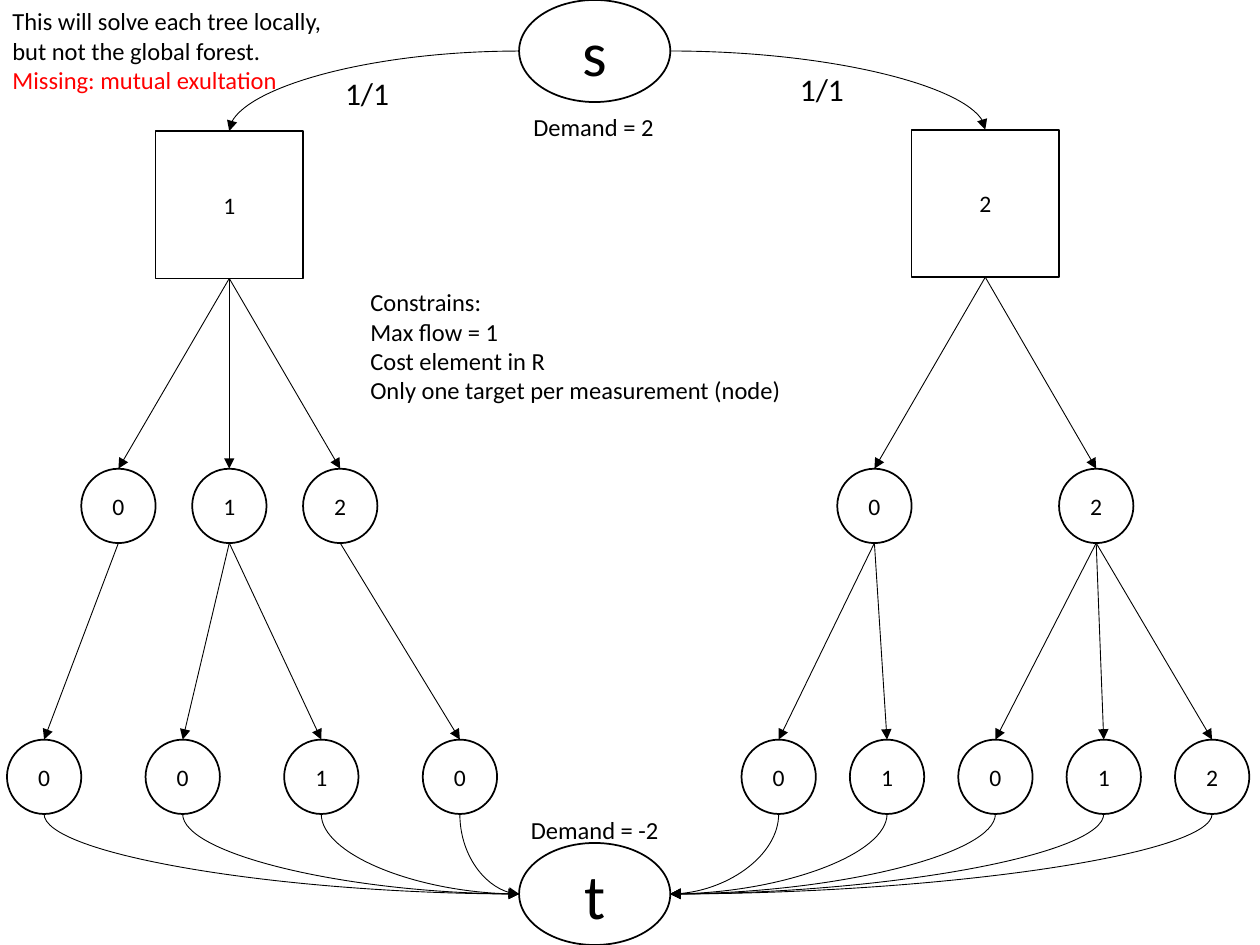
from lxml import etree
from pptx import Presentation
from pptx import util as u
from pptx.dml.color import RGBColor
from pptx.enum import shapes, text
from pptx.oxml.ns import qn

BLACK = RGBColor(0, 0, 0)
WHITE = RGBColor(255, 255, 255)
RED = RGBColor(255, 0, 0)
FONT = "Calibri"

TREES = [
    {"name": "1", "x": 1.82, "top": 1.04, "first_leaf": 0.35, "leaf_step": 1.1,
     "targets": {0: [0], 1: [0, 1], 2: [0]}},
    {"name": "2", "x": 7.82, "top": 1.03, "first_leaf": 6.18, "leaf_step": 0.86,
     "targets": {0: [0, 1], 2: [0, 1, 2]}},
]
LABELS = [
    (2.64, 0.54, 0.66, 0.4, 18, False, ["1/1"]),
    (6.25, 0.51, 0.66, 0.4, 18, False, ["1/1"]),
    (4.11, 6.42, 1.22, 0.34, 14, True, ["Demand = -2"]),
    (4.1, 0.84, 1.22, 0.34, 14, True, ["Demand = 2"]),
    (2.84, 2.23, 4.15, 1.04, 14, False,
     ["Constrains:", "Max flow = 1", "Cost element in R",
      "Only one target per measurement (node)"]),
    (0, 0, 2.7, 0.81, 14, False,
     ["This will solve each tree locally, ", "but not the global forest.",
      "Missing: mutual exultation"]),
]
WARNING = "Missing: mutual exultation"

PAGE_W, PAGE_H = 10, 7.5
SQUARE, CIRCLE = 1.17, 0.59
TERMINAL_W, TERMINAL_H = 1.2, 0.81
TERMINAL_X = 4.72
TARGET_TOP, TARGET_STEP, LEAF_TOP = 3.72, 0.88, 5.87
SOURCE_Y, SINK_Y = TERMINAL_H / 2, PAGE_H - TERMINAL_H / 2

deck = Presentation()
deck.slide_width, deck.slide_height = u.Inches(PAGE_W), u.Inches(PAGE_H)
page = deck.slides.add_slide(deck.slide_layouts[6])


def style(para, size, centred, color=BLACK):
    para.alignment = text.PP_ALIGN.CENTER if centred else text.PP_ALIGN.LEFT
    for span in para.runs:
        span.font.name, span.font.size = FONT, u.Pt(size)
        span.font.color.rgb = color


def add_node(kind, name, x, top, width, height, size=13.5, insets=(0.07, 0.04)):
    node = page.shapes.add_shape(kind, u.Inches(x - width / 2), u.Inches(top),
                                 u.Inches(width), u.Inches(height))
    node.shadow.inherit = False
    if kind == shapes.MSO_SHAPE.RECTANGLE:
        node.fill.solid()
        node.fill.fore_color.rgb = WHITE
    else:
        node.fill.background()
    node.line.color.rgb, node.line.width = BLACK, u.Pt(1)
    frame = node.text_frame
    frame.margin_left = frame.margin_right = u.Inches(insets[0])
    frame.margin_top = frame.margin_bottom = u.Inches(insets[1])
    frame.vertical_anchor = text.MSO_ANCHOR.MIDDLE
    frame.text = name
    style(frame.paragraphs[0], size, True)


def add_arrow(start, end, kind=shapes.MSO_CONNECTOR.STRAIGHT):
    arrow = page.shapes.add_connector(kind, *(u.Inches(v) for v in (*start, *end)))
    arrow.line.color.rgb, arrow.line.width = BLACK, u.Pt(0.5)
    properties = arrow.element.spPr
    etree.SubElement(arrow.line._get_or_add_ln(), qn("a:tailEnd"), type="triangle")
    etree.SubElement(properties, qn("a:effectLst"))
    if kind == shapes.MSO_CONNECTOR.CURVE:
        properties.find(qn("a:prstGeom")).set("prst", "curvedConnector2")
    return arrow


def add_falling_curve(start, end):
    run, drop = end[0] - start[0], end[1] - start[1]
    x, y = (start[0] + end[0]) / 2, (start[1] + end[1]) / 2
    side = -1 if run > 0 else 1
    half_w, half_h = side * drop / 2, abs(run) / 2
    curve = add_arrow((x - half_w, y - half_h), (x + half_w, y + half_h),
                      shapes.MSO_CONNECTOR.CURVE)
    degrees = 270 if run > 0 else 90
    curve.element.spPr.find(qn("a:xfrm")).set("rot", str(degrees * 60000))


def add_label(left, top, width, height, size, centred, lines):
    box = page.shapes.add_textbox(*(u.Inches(v) for v in (left, top, width, height)))
    frame = box.text_frame
    frame.word_wrap = True
    frame.auto_size = text.MSO_AUTO_SIZE.SHAPE_TO_FIT_TEXT
    frame.text = "\n".join(lines)
    for para in frame.paragraphs:
        style(para, size, centred, RED if para.text == WARNING else BLACK)


for name, y in (("s", SOURCE_Y), ("t", SINK_Y)):
    add_node(shapes.MSO_SHAPE.OVAL, name, TERMINAL_X, y - TERMINAL_H / 2,
             TERMINAL_W, TERMINAL_H, 36, (0.1, 0.05))

for tree in TREES:
    root_x, root_top = tree["x"], tree["top"]
    side = -1 if root_x < TERMINAL_X else 1
    port_x = TERMINAL_X + side * TERMINAL_W / 2
    add_node(shapes.MSO_SHAPE.RECTANGLE, tree["name"], root_x, root_top, SQUARE, SQUARE)
    add_arrow((port_x, SOURCE_Y), (root_x, root_top), shapes.MSO_CONNECTOR.CURVE)
    leaf_x = tree["first_leaf"]
    for target, leaves in tree["targets"].items():
        target_x = root_x + (target - 1) * TARGET_STEP
        add_node(shapes.MSO_SHAPE.OVAL, str(target), target_x, TARGET_TOP, CIRCLE, CIRCLE)
        add_arrow((root_x, root_top + SQUARE), (target_x, TARGET_TOP))
        for leaf in leaves:
            add_node(shapes.MSO_SHAPE.OVAL, str(leaf), leaf_x, LEAF_TOP, CIRCLE, CIRCLE)
            add_arrow((target_x, TARGET_TOP + CIRCLE), (leaf_x, LEAF_TOP))
            add_falling_curve((leaf_x, LEAF_TOP + CIRCLE), (port_x, SINK_Y))
            leaf_x += tree["leaf_step"]

for label in LABELS:
    add_label(*label)

deck.save("out.pptx")
